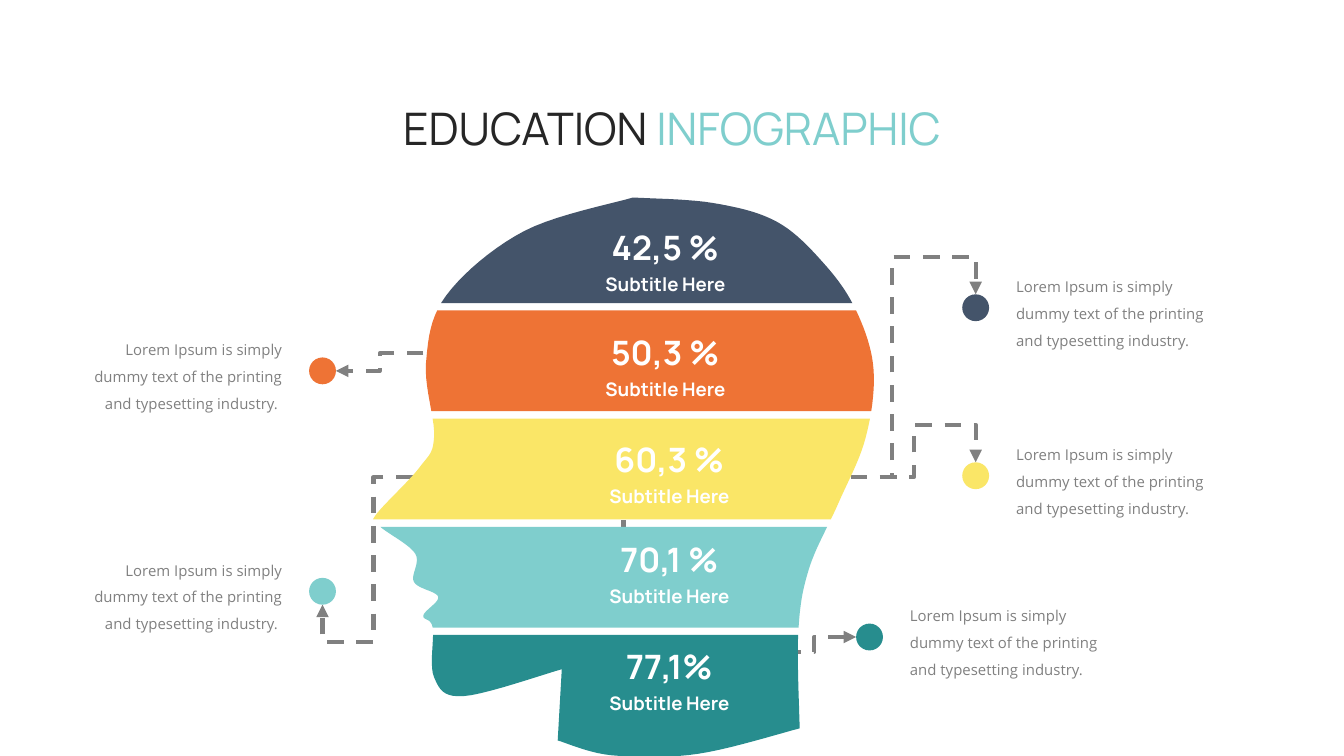
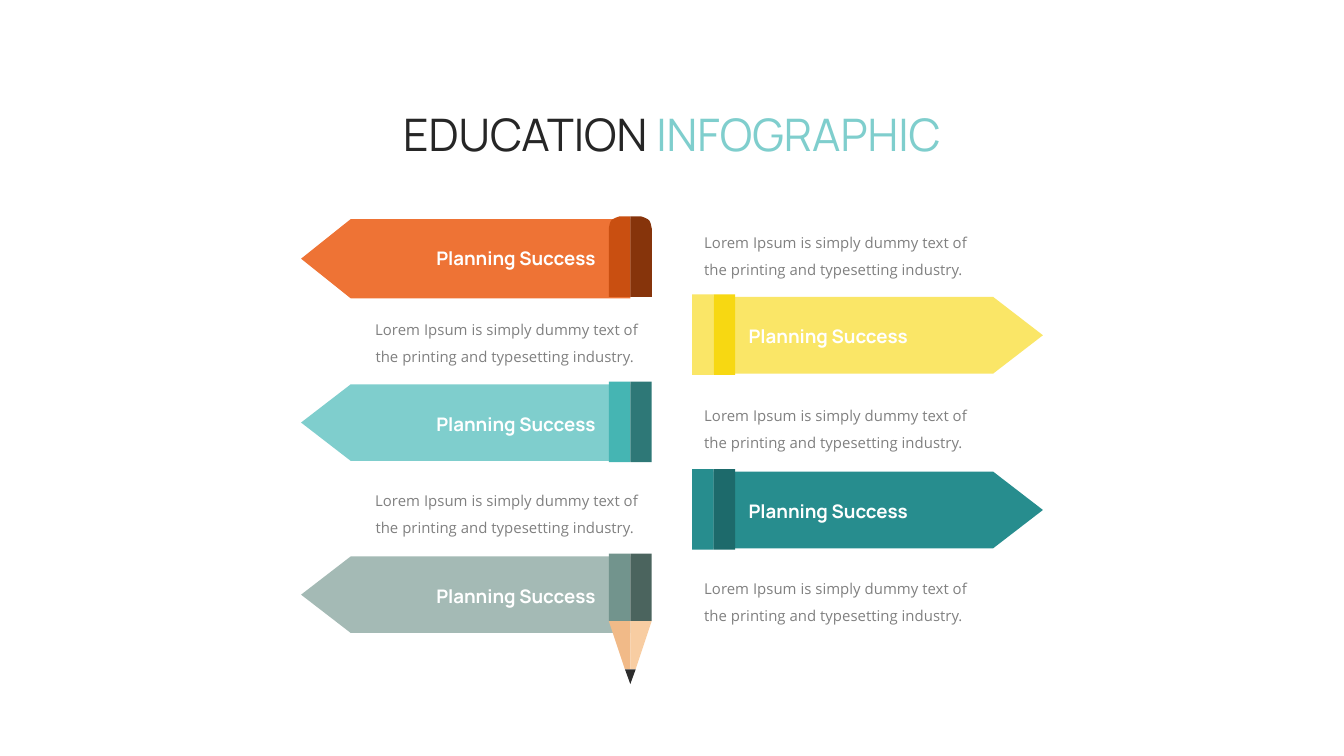
from dataclasses import dataclass
from typing import Any, Optional

from lxml import etree
from pptx import Presentation
from pptx import util as u
from pptx.dml.color import RGBColor
from pptx.enum import dml, shapes, text
from pptx.oxml.ns import qn

WIDTH, HEIGHT = 10, 5.625
HEADING_FONT, BODY_FONT = "Manrope", "Open Sans"
INK, GREY, WHITE = "262626", "808080", "FFFFFF"
NAVY, ORANGE, YELLOW = "44546A", "EE7335", "FAE667"
AQUA, TEAL, SAGE = "7FCECD", "278D8E", "A4BAB5"
LEFT, CENTER, RIGHT = text.PP_ALIGN.LEFT, text.PP_ALIGN.CENTER, text.PP_ALIGN.RIGHT
LOREM = "Lorem Ipsum is simply dummy text of the printing and typesetting industry."
CURVE_STEPS = 10
BAND_PITCH, BAND_GAP, FIRST_CUT = 0.805, 0.055, 2.255
DOT, HOOK = 0.2, 0.28
CAP_WIDTH = 0.16
PENCIL_AXIS = 4.69

Point = tuple[float, float]
Box = tuple[float, float, float, float]


@dataclass(frozen=True)
class Run:
    words: str
    size: float
    color: str
    font: str = HEADING_FONT
    bold: bool = False


@dataclass(frozen=True)
class HeadBand:
    figure: str
    left: float
    top: float
    fill: str


@dataclass(frozen=True)
class Callout:
    left: float
    top: float
    fill: str
    start: Point
    bend: float = 0
    hook: int = 0
    via: tuple[Point, ...] = ()
    text_on_left: bool = False


@dataclass(frozen=True)
class Banner:
    top: float
    fill: str
    cap_colors: tuple[str, str]
    height: float = 0.57
    cap_height: float = 0.6
    points_right: bool = False
    rounded: bool = False
    pencil_tip: bool = False


FACE = [(4.71, 1.47), (3.9, 1.72), (3.32, 2.2), (3.17, 2.7), (3.23, 3.25), (3.12, 3.48),
        (2.79, 3.84), (2.83, 3.92), (3.09, 4.12), (3.08, 4.33), (3.26, 4.44),
        (3.15, 4.58), (3.22, 4.67), (3.23, 5.04), (3.45, 5.18), (4.18, 4.98)]
BACK = [(4.71, 1.47), (5.3, 1.51), (5.78, 1.65), (6.13, 1.96), (6.37, 2.31), (6.5, 2.75),
        (6.44, 3.26), (6.24, 3.74), (6.02, 4.23), (5.94, 4.7), (5.95, 5.42)]
NECK = [(4.15, 5.51), (4.55, 5.62), (5.19, 5.61), (5.95, 5.42)]

HEAD_BANDS = [
    HeadBand("42,5 %", 4.24, 1.64, NAVY),
    HeadBand("50,3 %", 4.24, 2.42, ORANGE),
    HeadBand("60,3 %", 4.27, 3.22, YELLOW),
    HeadBand("70,1 %", 4.27, 3.96, AQUA),
    HeadBand("77,1%", 4.27, 4.76, TEAL),
]
CALLOUTS = [
    Callout(7.16, 2.19, NAVY, (6.33, 3.55), bend=6.64, hook=-1),
    Callout(2.3, 2.66, ORANGE, (3.15, 2.63), text_on_left=True),
    Callout(7.16, 3.44, YELLOW, (6.33, 3.55), bend=6.8, hook=-1),
    Callout(2.3, 4.3, AQUA, (3.07, 3.55), bend=2.78, hook=1, text_on_left=True),
    Callout(6.37, 4.64, TEAL, (4.64, 3.87),
            via=((4.64, 4.85), (6.06, 4.85), (6.06, 4.74))),
]
BANNERS = [
    Banner(1.63, ORANGE, ("C94F11", "86340B"), height=0.59, rounded=True),
    Banner(2.86, AQUA, ("45B5B3", "2E7877")),
    Banner(4.14, SAGE, ("72948D", "4B645E"), cap_height=0.5, pencil_tip=True),
    Banner(3.51, TEAL, (TEAL, "1D6A6B"), points_right=True),
    Banner(2.21, YELLOW, (YELLOW, "F7D812"), points_right=True),
]


def length(inches: float) -> u.Length:
    return u.Cm(inches * 2.54)


def rgb(color: str) -> RGBColor:
    return RGBColor.from_string(color)


def paint(shape: Any, color: str) -> None:
    shape.shadow.inherit = False
    shape.fill.solid()
    shape.fill.fore_color.rgb = rgb(color)
    shape.line.fill.background()


def write(shape: Any, runs: list[Run], align: Any, spacing: Optional[float] = None) -> None:
    frame = shape.text_frame
    frame.word_wrap = True
    frame.auto_size = text.MSO_AUTO_SIZE.SHAPE_TO_FIT_TEXT
    frame.vertical_anchor = text.MSO_ANCHOR.TOP
    frame.margin_left = frame.margin_right = length(0.05)
    frame.margin_top = frame.margin_bottom = length(0.05)
    paragraph = frame.paragraphs[0]
    paragraph.alignment = align
    if spacing:
        paragraph.line_spacing = spacing
    for item in runs:
        run = paragraph.add_run()
        run.text = item.words
        run.font.name = item.font
        run.font.size = u.Pt(item.size)
        run.font.bold = item.bold
        run.font.color.rgb = rgb(item.color)


def add_text(canvas: Any, box: Box, run: Run, align: Any,
             spacing: Optional[float] = None) -> None:
    write(canvas.add_textbox(*map(length, box)), [run], align, spacing)


def add_note(canvas: Any, box: Box, align: Any) -> None:
    words = LOREM + " " if align == RIGHT else LOREM
    add_text(canvas, box, Run(words, 8, GREY, BODY_FONT), align, 1.5)


def smooth_value(a: float, b: float, c: float, d: float, t: float) -> float:
    return b + t / 2 * (c - a + t * (2 * a - 5 * b + 4 * c - d + t * (3 * (b - c) + d - a)))


def smooth(knots: list[Point]) -> list[Point]:
    padded = [knots[0], *knots, knots[-1]]
    curve = [knots[0]]
    for quad in zip(padded, padded[1:], padded[2:], padded[3:]):
        for step in range(1, CURVE_STEPS + 1):
            x, y = (smooth_value(*values, step / CURVE_STEPS) for values in zip(*quad))
            curve.append((x, y))
    return curve


def cut(curve: list[Point], top: float, bottom: float) -> list[Point]:
    kept = [curve[0]] if top <= curve[0][1] <= bottom else []
    for (x0, y0), (x1, y1) in zip(curve, curve[1:]):
        for edge in (top, bottom):
            if min(y0, y1) < edge < max(y0, y1):
                kept.append((x0 + (x1 - x0) * (edge - y0) / (y1 - y0), edge))
        if top <= y1 <= bottom:
            kept.append((x1, y1))
    return kept


def mirror(points: list[Point], axis: float) -> list[Point]:
    return [(2 * axis - x, y) for x, y in points]


def outline(canvas: Any, points: list[Point], close: bool = True) -> Any:
    start, *rest = [(length(x), length(y)) for x, y in points]
    builder = canvas.build_freeform(*start)
    builder.add_line_segments(rest, close=close)
    return builder.convert_to_shape()


def add_outline(canvas: Any, points: list[Point], color: str) -> None:
    paint(outline(canvas, points), color)


def add_preset(canvas: Any, kind: Any, box: Box, color: str) -> None:
    paint(canvas.add_shape(kind, *map(length, box)), color)


def route(callout: Callout) -> list[Point]:
    middle = callout.left + DOT / 2
    if callout.hook:
        end = callout.top + (DOT if callout.hook > 0 else 0)
        turn = end + callout.hook * HOOK
        return [callout.start, (callout.bend, callout.start[1]), (callout.bend, turn),
                (middle, turn), (middle, end)]
    side = callout.left + (DOT if callout.text_on_left else 0)
    return [callout.start, *callout.via, (side, callout.top + DOT / 2)]


def add_route(canvas: Any, points: list[Point]) -> None:
    if len(points) == 2:
        ends = [length(value) for point in points for value in point]
        arrow = canvas.add_connector(shapes.MSO_CONNECTOR.ELBOW, *ends)
    else:
        arrow = outline(canvas, points, close=False)
        arrow.fill.background()
    arrow.line.color.rgb = rgb(GREY)
    arrow.line.width = u.Pt(2.25)
    arrow.line.dash_style = dml.MSO_LINE.DASH
    properties = arrow.element.spPr
    etree.SubElement(properties.find(qn("a:ln")), qn("a:tailEnd"), type="triangle")
    etree.SubElement(properties, qn("a:effectLst"))


def add_slide(presentation: Any, title_top: float) -> Any:
    slide = presentation.slides.add_slide(presentation.slide_layouts[5])
    title = slide.shapes.title
    title.left, title.top = length(2.39), length(title_top)
    title.width, title.height = length(5.22), length(0.5)
    write(title, [Run("EDUCATION ", 24, INK), Run("INFOGRAPHIC", 24, AQUA)], CENTER)
    return slide


def add_head(canvas: Any) -> None:
    group = canvas.add_group_shape().shapes
    face, back, neck = smooth(FACE), smooth(BACK), smooth(NECK)
    last = len(HEAD_BANDS) - 1
    for index, band in enumerate(HEAD_BANDS):
        bottom = FIRST_CUT + index * BAND_PITCH
        top = bottom - BAND_PITCH + BAND_GAP if index else 0
        if index == last:
            bottom = HEIGHT
        points = cut(face, top, bottom) + (neck if index == last else [])
        add_outline(group, points + cut(back, top, bottom)[::-1], band.fill)
    for band in HEAD_BANDS:
        add_text(group, (band.left, band.top, 1.42, 0.41),
                 Run(band.figure, 18, WHITE, bold=True), CENTER)
        add_text(group, (band.left, band.top + 0.34, 1.42, 0.27),
                 Run("Subtitle Here", 10, WHITE, bold=True), CENTER)


def add_callout(canvas: Any, callout: Callout) -> None:
    offset, align = (-1.84, RIGHT) if callout.text_on_left else (0.35, LEFT)
    add_note(canvas, (callout.left + offset, callout.top - 0.24, 1.69, 0.66), align)
    add_preset(canvas, shapes.MSO_SHAPE.OVAL, (callout.left, callout.top, DOT, DOT),
               callout.fill)


def add_pencil_tip(canvas: Any, top: float) -> None:
    lead = top + 0.36
    wood = [(PENCIL_AXIS, top), (PENCIL_AXIS - CAP_WIDTH, top),
            (PENCIL_AXIS - 0.04, lead), (PENCIL_AXIS, lead)]
    add_outline(canvas, wood, "F1BA88")
    add_outline(canvas, mirror(wood, PENCIL_AXIS), "F8CDA2")
    add_outline(canvas, [wood[2], (PENCIL_AXIS + 0.04, lead), (PENCIL_AXIS, lead + 0.11)],
                "2D2D2D")


def add_banner(canvas: Any, banner: Banner) -> None:
    group = canvas.add_group_shape().shapes
    top, bottom = banner.top, banner.top + banner.height
    cap_top = top - 0.02
    cap_bottom = cap_top + banner.cap_height
    body = [(PENCIL_AXIS, bottom), (2.61, bottom), (2.24, (top + bottom) / 2),
            (2.61, top), (PENCIL_AXIS, top)]
    add_outline(group, mirror(body, WIDTH / 2) if banner.points_right else body, banner.fill)
    if banner.pencil_tip:
        add_pencil_tip(group, cap_bottom)
    axis = WIDTH - PENCIL_AXIS if banner.points_right else PENCIL_AXIS
    if banner.rounded:
        left = axis - CAP_WIDTH
        corner = smooth([(left + 0.08, cap_top), (left + 0.02, cap_top + 0.03),
                         (left, cap_top + 0.09)])
        half = [(axis, cap_top), *corner, (left, cap_bottom), (axis, cap_bottom)]
        for points, color in zip((half, mirror(half, axis)), banner.cap_colors):
            add_outline(group, points, color)
    else:
        for left, color in zip((axis - CAP_WIDTH, axis), banner.cap_colors):
            add_preset(group, shapes.MSO_SHAPE.RECTANGLE,
                       (left, cap_top, CAP_WIDTH, banner.cap_height), color)
    label_left, align = (5.52, LEFT) if banner.points_right else (2.68, RIGHT)
    add_text(group, (label_left, top + 0.16, 1.8, 0.27),
             Run("Planning Success", 10, WHITE, bold=True), align)


def main() -> None:
    presentation = Presentation()
    presentation.slide_width, presentation.slide_height = length(WIDTH), length(HEIGHT)

    head_slide = add_slide(presentation, 0.7)
    for callout in CALLOUTS:
        add_route(head_slide.shapes, route(callout))
    add_head(head_slide.shapes)
    for callout in CALLOUTS:
        add_callout(head_slide.shapes, callout)

    pencil_slide = add_slide(presentation, 0.74)
    for banner in BANNERS:
        add_banner(pencil_slide.shapes, banner)
    for left, top, pitch, count, align in ((2.67, 2.27, 1.27, 2, RIGHT),
                                           (5.19, 1.62, 1.29, 3, LEFT)):
        for row in range(count):
            add_note(pencil_slide.shapes, (left, top + row * pitch, 2.13, 0.45), align)

    presentation.save("out.pptx")


if __name__ == "__main__":
    main()
